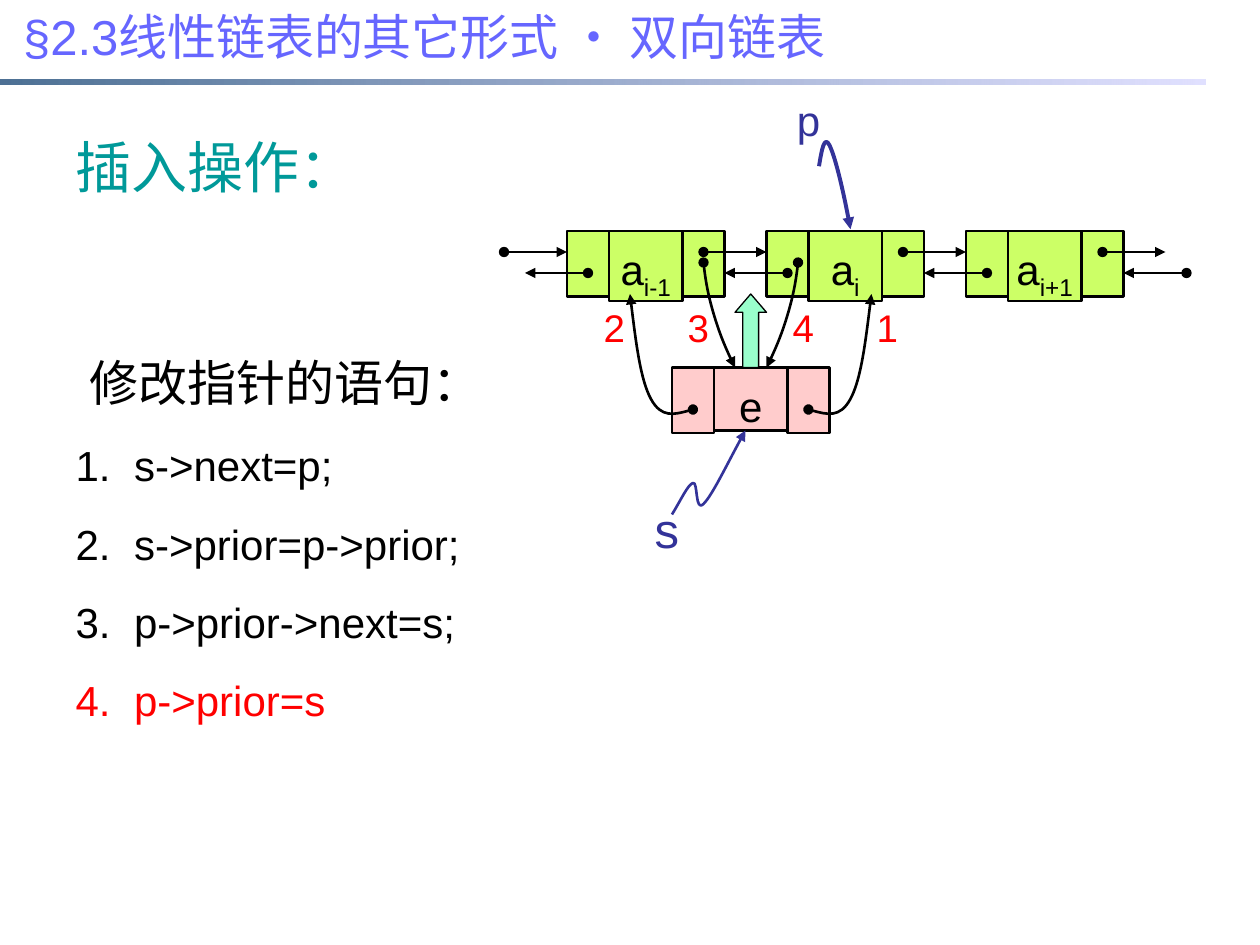
from lxml.etree import SubElement
from pptx import Presentation
from pptx.dml.color import RGBColor
from pptx.enum.shapes import MSO_CONNECTOR as CONN, MSO_SHAPE as SHAPE
from pptx.enum.text import MSO_ANCHOR as ANCHOR, MSO_AUTO_SIZE as FIT, PP_ALIGN as ALIGN
from pptx.oxml.ns import qn
from pptx.util import Pt

BLACK, RED, NAVY = "000000", "FF0000", "333399"
GREEN, PINK, MINT = "CCFF66", "FFCCCC", "99FFCC"
CELL = 24          # width of a pointer cell
DATA = 42          # width of a data cell
PITCH = 114        # distance between neighbouring nodes
AXIS = 429         # the insertion drawing is symmetric about this x


def rgb(hex_color):
    return RGBColor.from_string(hex_color)


def pts(*values):
    return [Pt(v) for v in values]


def set_frame(tf, margins):
    sides = ("left", "top", "right", "bottom")
    values = {"word_wrap": True, "auto_size": FIT.NONE, "vertical_anchor": ANCHOR.TOP}
    values.update({f"margin_{side}": Pt(m) for side, m in zip(sides, margins)})
    for name, value in values.items():
        setattr(tf, name, value)


def add_run(p, text, size, color, **attrs):
    r = p.add_run()
    r.text = text
    for name, value in {"size": Pt(size), "name": "Arial"}.items():
        setattr(r.font, name, value)
    r.font.color.rgb = rgb(color)
    for name, value in attrs.items():
        r.font._element.set(name, value)


def set_line(line, color, width, **ends):
    line.color.rgb = rgb(color)
    line.width = Pt(width)
    ln = line._get_or_add_ln()
    for tag, kind in ends.items():
        SubElement(ln, qn(f"a:{tag}"), type=kind)


def add_box(slide, kind, box, fill, width=1.5):
    sp = slide.shapes.add_shape(kind, *pts(*box))
    sp.shadow.inherit = False
    sp.fill.solid()
    sp.fill.fore_color.rgb = rgb(fill)
    set_line(sp.line, BLACK, width)
    return sp


def add_label(slide, box, text, size, color, margins=(0, 0, 0, 0)):
    tf = slide.shapes.add_textbox(*pts(*box)).text_frame
    set_frame(tf, margins)
    p = tf.paragraphs[0]
    p.alignment = ALIGN.CENTER
    add_run(p, text, size, color)


def add_node(slide, box, fill, text, subscript=""):
    """Doubly linked node: prior cell, data cell, next cell."""
    x, y, data_h, cell_h = box
    sp = add_box(slide, SHAPE.RECTANGLE, (x + CELL, y, DATA, data_h), fill)
    set_frame(sp.text_frame, (0, 7.2, 0, 0))
    p = sp.text_frame.paragraphs[0]
    p.alignment = ALIGN.CENTER
    add_run(p, text, 24, BLACK)
    if subscript:
        add_run(p, subscript, 24, BLACK, baseline="-25000")
    for left in (x + CELL + DATA, x):
        add_box(slide, SHAPE.RECTANGLE, (left, y, CELL, cell_h), fill)


def add_link(slide, x1, x2, y):
    cxn = slide.shapes.add_connector(CONN.STRAIGHT, *pts(x1, y, x2, y))
    set_line(cxn.line, BLACK, 1.5, headEnd="oval", tailEnd="triangle")
    SubElement(cxn._element.spPr, qn("a:effectLst"))


def add_curve(slide, points, color, width, **ends):
    """Bezier curve: a start point, then three points for each segment."""
    start, *rest = [pts(*point) for point in points]
    builder = slide.shapes.build_freeform(*start)
    builder.add_line_segments(rest, close=False)
    sp = builder.convert_to_shape()
    path = sp._element.find(".//" + qn("a:path"))
    steps = path.findall(qn("a:lnTo"))
    for i in range(0, len(steps), 3):
        bezier = SubElement(path, qn("a:cubicBezTo"))
        for step in steps[i:i + 3]:
            bezier.append(step[0])
            path.remove(step)
    sp.shadow.inherit = False
    sp.fill.background()
    set_line(sp.line, color, width, **ends)


def add_title(slide, box):
    x, y, w, h = box
    # Gradient rule under the title
    bar = slide.shapes.add_shape(SHAPE.RECTANGLE, *pts(0, 45.25, 689, 3.25))
    bar.shadow.inherit = False
    bar.line.fill.background()
    bar.fill.gradient()
    bar.fill.gradient_angle = 0
    for stop, color, alpha in zip(bar.fill.gradient_stops, ("003366", "CCCCFF"), (70, 60)):
        stop.color.rgb = rgb(color)
    for clr, alpha in zip(bar._element.spPr.iter(qn("a:srgbClr")), (70, 60)):
        SubElement(clr, qn("a:alpha"), val=str(alpha * 1000))
    # Title text
    sp = slide.shapes.title
    sp.left, sp.top, sp.width, sp.height = pts(x, y, w, h)
    set_frame(sp.text_frame, (7.2, 3.6, 7.2, 3.6))
    p = sp.text_frame.paragraphs[0]
    p.alignment = ALIGN.LEFT
    add_run(p, "§2.3线性链表的其它形式 • 双向链表", 28, "6666FF")


def add_statements(slide, box):
    sp = slide.placeholders[1]
    sp.left, sp.top, sp.width, sp.height = pts(*box)
    tf = sp.text_frame
    set_frame(tf, (7.2, 3.6, 7.2, 3.6))
    # Heading
    p = tf.paragraphs[0]
    p.space_before = Pt(0)
    pPr = p._p.get_or_add_pPr()
    pPr.set("marL", str(Pt(8)))
    pPr.set("indent", "0")
    SubElement(pPr, qn("a:buNone"))
    add_run(p, "修改指针的语句：", 28, BLACK)
    # Numbered statements
    statements = {"s->next=p;": BLACK, "s->prior=p->prior;": BLACK,
                  "p->prior->next=s;": BLACK, "p->prior=s": RED}
    for text, color in statements.items():
        p = tf.add_paragraph()
        p.space_before = Pt(16)
        pPr = p._p.get_or_add_pPr()
        pPr.set("marL", str(Pt(33.4)))
        pPr.set("indent", str(-Pt(33.4)))
        SubElement(pPr, qn("a:buFont"), typeface="Arial")
        SubElement(pPr, qn("a:buAutoNum"), type="arabicPeriod")
        add_run(p, text, 24, color)


def add_list_row(slide, box):
    x, y, data_h, cell_h = box
    for i, subscript in enumerate(("i-1", "i", "i+1")):
        add_node(slide, (x + i * PITCH, y, data_h, cell_h), GREEN, "a", subscript)
    for i in range(4):
        node_x = x + i * PITCH
        add_link(slide, node_x - 36, node_x, y + 12)
        add_link(slide, node_x + 12, node_x - 24, y + 24)


def add_insertion(slide, box):
    """New node e, with the four pointer changes in their order."""
    add_node(slide, box, PINK, "e")
    arrow = add_box(slide, SHAPE.UP_ARROW, (AXIS - 9, 168, 18, 42), MINT, 0.75)
    arrow.adjustments[0], arrow.adjustments[1] = 0.5, 0.583
    # Right-hand and left-hand pointers mirror each other
    outer = [(462, 234), (471, 236.5), (480, 239), (486, 228),
             (492, 217), (495, 192.5), (498, 168)]
    inner = [(456, 150), (455, 160), (453, 170), (450, 180),
             (447, 190), (443, 200), (438, 210)]
    for points, label_x, numbers in ((outer, 498, "12"), (inner, 450, "43")):
        mirrored = [(2 * AXIS - x, y) for x, y in points]
        for curve, left, number in ((points, label_x, numbers[0]),
                                    (mirrored, 2 * AXIS - label_x - 18, numbers[1])):
            add_curve(slide, curve, BLACK, 1.5, headEnd="oval", tailEnd="triangle")
            add_label(slide, (left, 174, 18, 26.5), number, 22, RED)


def add_pointers(slide):
    add_curve(slide, [(384, 294), (389, 286), (393, 277), (396, 276), (399, 275),
                      (397, 293), (402, 288), (407, 283), (416, 264), (426, 246)],
              NAVY, 1.5, tailEnd="triangle")
    add_label(slide, (360, 282, 42, 41), "s", 28, NAVY, (7.2, 3.6, 7.2, 3.6))
    add_curve(slide, [(468, 95), (469.5, 86), (471, 77), (474, 83),
                      (477, 89), (482, 109), (486, 131)],
              NAVY, 2.25, tailEnd="triangle")
    add_label(slide, (450, 54, 24, 29), "p", 24, NAVY)


def main():
    prs = Presentation()
    prs.slide_width, prs.slide_height = pts(720, 540)
    slide = prs.slides.add_slide(prs.slide_layouts[1])
    add_title(slide, (6, 0, 714, 41))
    add_label(slide, (24, 72, 198, 46), "插入操作：", 32, "009999", (7.2, 3.6, 7.2, 3.6))
    add_statements(slide, (36, 198, 276, 216))
    add_list_row(slide, (324, 132, 40, 37.5))
    add_insertion(slide, (384, 210, 36, 37.5))
    add_pointers(slide)
    prs.save("out.pptx")


if __name__ == "__main__":
    main()
